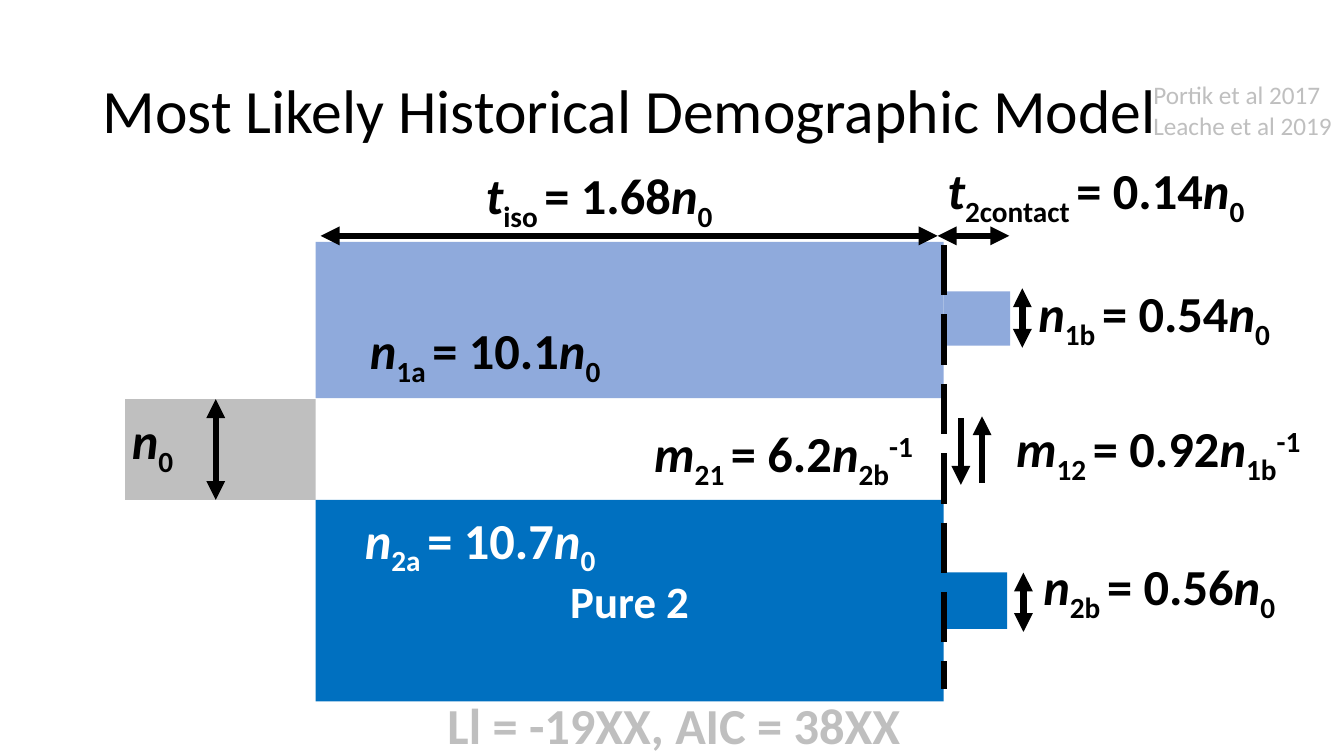
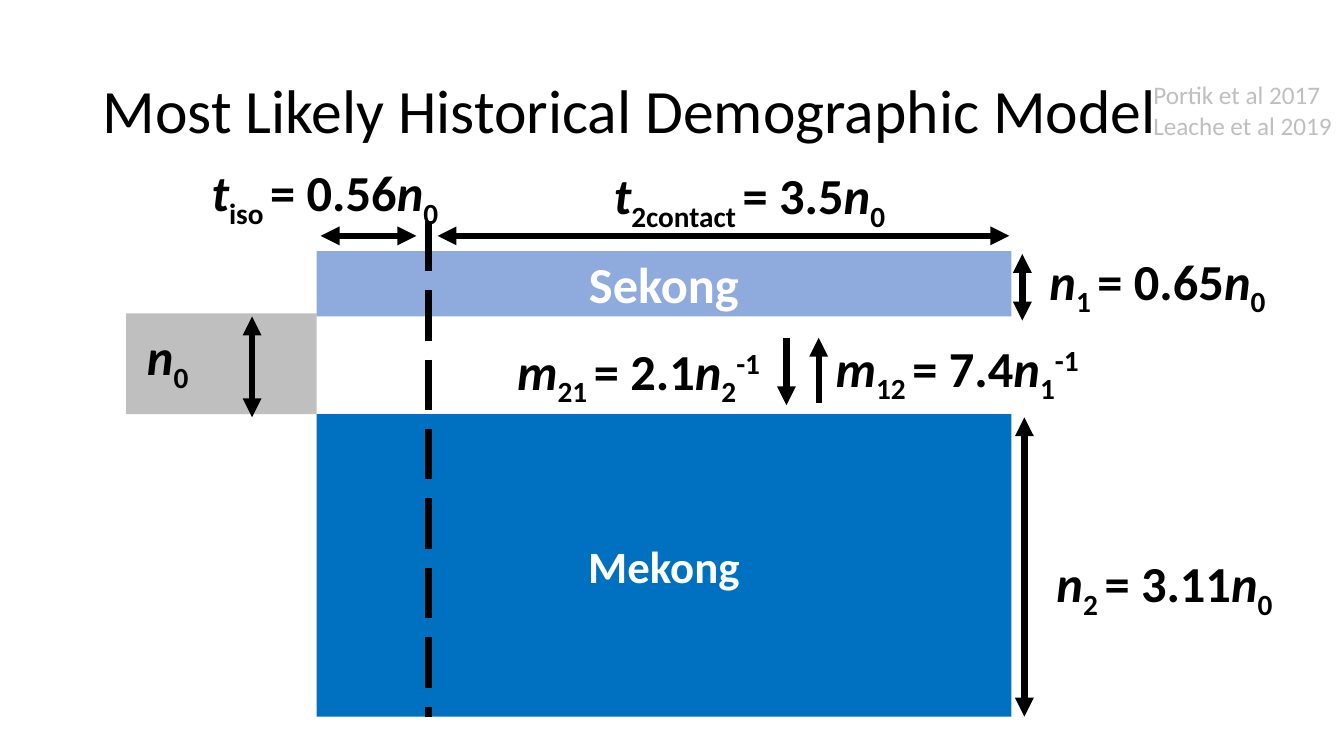
from lxml import etree
from pptx import Presentation
from pptx import util as u
from pptx.dml.color import RGBColor
from pptx.enum import dml, shapes, text
from pptx.oxml.ns import qn

BLACK = RGBColor(0x00, 0x00, 0x00)
WHITE = RGBColor(0xFF, 0xFF, 0xFF)
GREY = RGBColor(0xBF, 0xBF, 0xBF)
LIGHT_BLUE = RGBColor(0x8F, 0xAA, 0xDC)
BLUE = RGBColor(0x00, 0x70, 0xC0)

EMU_PER_PX = 9144
SUBSCRIPT = -25000
SUPERSCRIPT = 30000


def px(*lengths):
    return [u.Emu(n * EMU_PER_PX) for n in lengths]


class Deck:
    font = "Calibri"
    stroke = u.Pt(4.5)

    def __init__(self):
        self.prs = Presentation()
        self.prs.slide_width, self.prs.slide_height = px(1333, 750)
        self.s = None

    def slide(self):
        self.s = self.prs.slides.add_slide(self.prs.slide_layouts[6])
        title = self.text(92, 40, 1150, 145, ["Most Likely Historical Demographic Model"],
                          size=44, bold=False, wrap=True)
        title.vertical_anchor = text.MSO_ANCHOR.MIDDLE
        title.paragraphs[0].line_spacing = 0.9
        self.text(1134, 74, 200, 71, ["Portik et al 2017", "Leache et al 2019"],
                  size=18, bold=False, color=GREY)

    def style(self, p, size, color, bold):
        p.font.name = self.font
        p.font.size = u.Pt(size)
        p.font.bold = bold
        p.font.color.rgb = color

    def text(self, x, y, w, h, lines, size=36, color=BLACK, bold=True, wrap=False):
        tf = self.s.shapes.add_textbox(*px(x, y, w, h)).text_frame
        tf.word_wrap = wrap
        if not wrap:
            tf.auto_size = text.MSO_AUTO_SIZE.SHAPE_TO_FIT_TEXT
        for i, line in enumerate(lines):
            p = tf.paragraphs[0] if i == 0 else tf.add_paragraph()
            p.text = line
            self.style(p, size, color, bold)
        return tf

    def formula(self, x, y, w, symbol, index, value="", unit="0", power="", color=BLACK):
        p = self.text(x, y, w, 71, [""], color=color).paragraphs[0]
        parts = [(symbol, True, 0), (index, False, SUBSCRIPT)]
        if value:
            parts = [(symbol, True, 0), (index + " ", False, SUBSCRIPT),
                     ("= " + value, False, 0), ("n", True, 0), (unit, False, SUBSCRIPT)]
        if power:
            parts.append((power, False, SUPERSCRIPT))
        for words, italic, baseline in parts:
            r = p.add_run()
            r.text = words
            r.font.italic = italic
            if baseline:
                r.font._element.set("baseline", str(baseline))

    def block(self, x, y, w, h, fill, label="", size=32):
        sp = self.s.shapes.add_shape(shapes.MSO_SHAPE.RECTANGLE, *px(x, y, w, h))
        sp.shadow.inherit = False
        sp.fill.solid()
        sp.fill.fore_color.rgb = fill
        sp.line.fill.background()
        if label:
            sp.text_frame.vertical_anchor = text.MSO_ANCHOR.MIDDLE
            p = sp.text_frame.paragraphs[0]
            p.text = label
            p.alignment = text.PP_ALIGN.CENTER
            self.style(p, size, WHITE, True)

    def line(self, x1, y1, x2, y2, ends=(), dashed=False):
        sp = self.s.shapes.add_connector(shapes.MSO_CONNECTOR.STRAIGHT, *px(x1, y1, x2, y2))
        sp.line.color.rgb = BLACK
        sp.line.width = self.stroke
        if dashed:
            sp.line.dash_style = dml.MSO_LINE.LONG_DASH
        properties = sp.element.spPr
        outline = properties.find(qn("a:ln"))
        for end in ends:
            etree.SubElement(outline, qn(f"a:{end}End"), type="triangle")
        etree.SubElement(properties, qn("a:effectLst"))

    def span(self, x1, y1, x2, y2):
        self.line(x1, y1, x2, y2, ends=("head", "tail"))

    def arrow(self, x1, y1, x2, y2):
        self.line(x1, y1, x2, y2, ends=("tail",))


def pure_model(d):
    d.slide()
    d.block(934, 568, 65, 56, BLUE)
    d.block(936, 289, 66, 54, LIGHT_BLUE)
    d.block(124, 396, 189, 100, GREY)
    d.block(313, 240, 623, 155, LIGHT_BLUE)
    d.block(313, 496, 623, 200, BLUE, "Pure 2")
    d.line(936, 243, 936, 684, dashed=True)

    d.span(930, 234, 318, 234)
    d.span(1001, 234, 930, 234)
    d.span(214, 396, 214, 496)
    d.span(1014, 286, 1014, 345)
    d.span(1015, 568, 1015, 627)
    d.arrow(953, 415, 953, 481)
    d.arrow(974, 479, 974, 413)

    d.formula(121, 401, 64, "n", "0")
    d.formula(352, 500, 258, "n", "2a", "10.7", color=WHITE)
    d.formula(357, 312, 258, "n", "1a", "10.1")
    d.formula(472, 158, 255, "t", "iso", "1.68")
    d.formula(930, 153, 336, "t", "2contact", "0.14")
    d.formula(998, 409, 318, "m", "12", "0.92", "1b", "-1")
    d.formula(639, 414, 292, "m", "21", "6.2", "2b", "-1")
    d.formula(1020, 275, 260, "n", "1b", "0.54")
    d.formula(1025, 546, 260, "n", "2b", "0.56")
    d.text(434, 684, 474, 71, ["Ll = -19XX, AIC = 38XX"], color=GREY)


def river_model(d):
    d.slide()
    d.block(125, 311, 189, 100, GREY)
    d.block(314, 249, 689, 65, LIGHT_BLUE, "Sekong", 36)
    d.block(314, 411, 689, 300, BLUE, "Mekong")
    d.line(425, 219, 425, 711, dashed=True)

    d.span(413, 234, 318, 234)
    d.span(1001, 234, 434, 234)
    d.span(250, 314, 250, 414)
    d.span(1014, 252, 1014, 318)
    d.span(1016, 414, 1016, 711)
    d.arrow(780, 335, 780, 402)
    d.arrow(812, 400, 812, 335)

    d.formula(136, 318, 64, "n", "0")
    d.formula(1038, 543, 242, "n", "2", "3.11")
    d.formula(1031, 243, 242, "n", "1", "0.65")
    d.formula(200, 155, 255, "t", "iso", "0.56")
    d.formula(599, 158, 311, "t", "2contact", "3.5")
    d.formula(503, 332, 274, "m", "21", "2.1", "2", "-1")
    d.formula(819, 329, 274, "m", "12", "7.4", "1", "-1")


def main():
    d = Deck()
    pure_model(d)
    river_model(d)
    d.prs.save("out.pptx")


if __name__ == "__main__":
    main()
